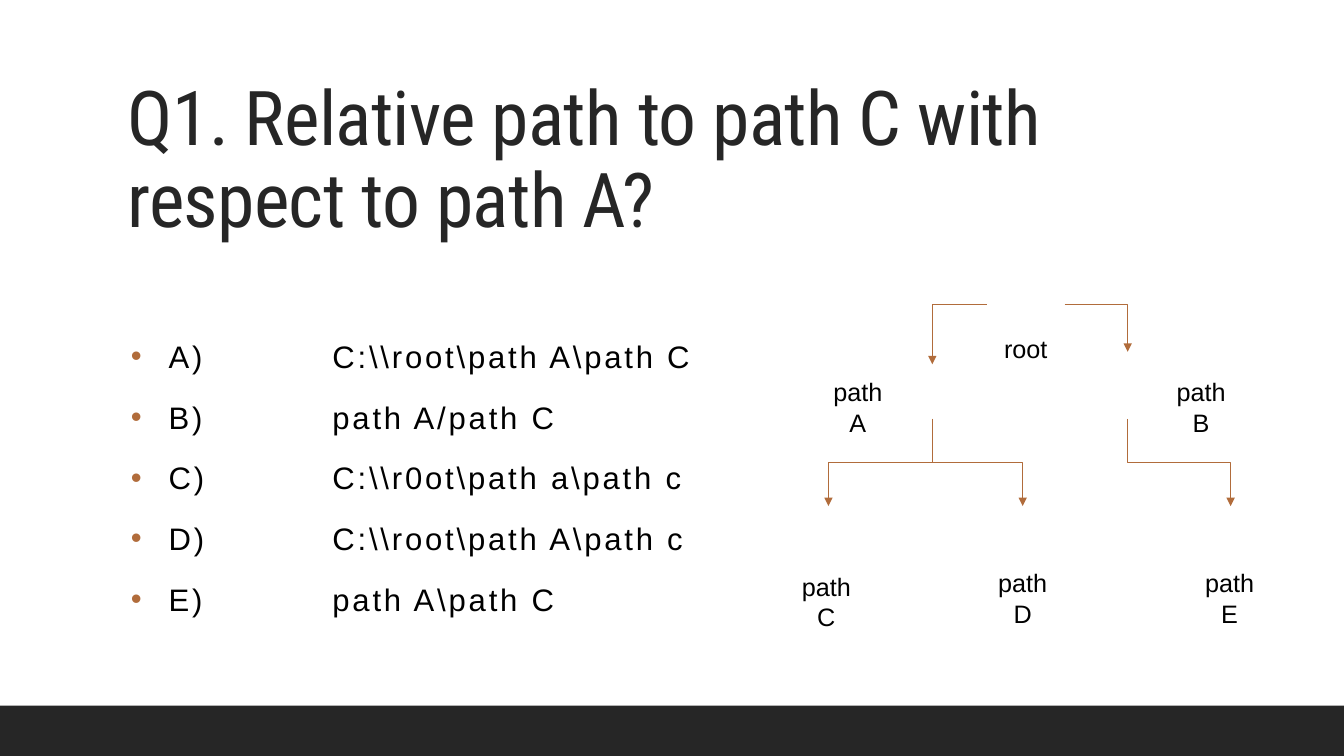
from dataclasses import dataclass

from lxml import etree
from pptx import Presentation
from pptx.dml.color import RGBColor
from pptx.enum.shapes import MSO_CONNECTOR, MSO_SHAPE
from pptx.enum.text import MSO_ANCHOR, MSO_AUTO_SIZE, PP_ALIGN
from pptx.oxml.ns import qn
from pptx.util import Emu, Pt

ELBOW = MSO_CONNECTOR.ELBOW
RECTANGLE = MSO_SHAPE.RECTANGLE
BOTTOM, TOP = MSO_ANCHOR.BOTTOM, MSO_ANCHOR.TOP
NO_FIT = MSO_AUTO_SIZE.NONE
LEFT, CENTER = PP_ALIGN.LEFT, PP_ALIGN.CENTER

EMU_PER_PX = 9525
SLIDE_WIDTH, SLIDE_HEIGHT = 1280, 720
FOOTER_HEIGHT = 48
LABEL_WIDTH, LABEL_HEIGHT = 78, 26
BULLET_INDENT = 36
TAB_STEP = 96

COLORS = {"dark": "262626", "text": "000000", "accent": "B16C3B"}
TITLE_FONT, BODY_FONT = "Roboto Condensed", "Arial"

TITLE = "Q1. Relative path to path C with respect to path A?"


@dataclass(frozen=True)
class Answer:
    letter: str
    location: str


@dataclass(frozen=True)
class Label:
    text: str
    left: int
    top: int


@dataclass(frozen=True)
class Branch:
    start: tuple[int, int]
    end: tuple[int, int]
    from_root: bool = False


ANSWERS = [
    Answer("A)", r"C:\\root\path A\path C"),
    Answer("B)", "path A/path C"),
    Answer("C)", r"C:\\r0ot\path a\path c"),
    Answer("D)", r"C:\\root\path A\path c"),
    Answer("E)", r"path A\path C"),
]

LABELS = [
    Label("root", 938, 313),
    Label("path A", 778, 354),
    Label("path B", 1105, 354),
    Label("path C", 748, 539),
    Label("path D", 935, 536),
    Label("path E", 1132, 536),
]

BRANCHES = [
    Branch((940, 290), (888, 347), from_root=True),
    Branch((1014, 290), (1074, 335), from_root=True),
    Branch((888, 399), (789, 482)),
    Branch((888, 399), (974, 482)),
    Branch((1074, 399), (1172, 482)),
]


def px(value: float) -> Emu:
    return Emu(round(value * EMU_PER_PX))


def color(name: str) -> RGBColor:
    return RGBColor.from_string(COLORS[name])


def place(shape, left: int, top: int, width: int, height: int) -> None:
    shape.left, shape.top = px(left), px(top)
    shape.width, shape.height = px(width), px(height)


def prepare_frame(shape, anchor):
    frame = shape.text_frame
    frame.word_wrap = True
    frame.auto_size = NO_FIT
    frame.vertical_anchor = anchor
    return frame


def add_run(paragraph, text: str, font_name: str, size: float,
            color_name: str, spacing: int = 0) -> None:
    run = paragraph.add_run()
    run.text = text
    run.font.name = font_name
    run.font.size = Pt(size)
    run.font.color.rgb = color(color_name)
    if spacing:
        run._r.get_or_add_rPr().set("spc", str(spacing))


def add_bullet_and_tabs(paragraph) -> None:
    properties = paragraph._p.get_or_add_pPr()
    properties.set("marL", str(px(BULLET_INDENT)))
    properties.set("indent", str(-px(BULLET_INDENT)))
    bullet_color = etree.SubElement(properties, qn("a:buClr"))
    etree.SubElement(bullet_color, qn("a:srgbClr"), val=COLORS["accent"])
    etree.SubElement(properties, qn("a:buFont"), typeface=BODY_FONT)
    etree.SubElement(properties, qn("a:buChar"), char="•")
    tabs = etree.SubElement(properties, qn("a:tabLst"))
    for step in (1, 2):
        etree.SubElement(tabs, qn("a:tab"), pos=str(px(step * TAB_STEP)), algn="l")


def fill_title(shape) -> None:
    place(shape, 112, 63, 1056, 174)
    paragraph = prepare_frame(shape, BOTTOM).paragraphs[0]
    paragraph.alignment = LEFT
    paragraph.line_spacing = 0.9
    add_run(paragraph, TITLE, TITLE_FONT, 54, "dark", -50)


def fill_answers(shape) -> None:
    place(shape, 115, 313, 1056, 295)
    frame = prepare_frame(shape, TOP)
    for index, answer in enumerate(ANSWERS):
        paragraph = frame.add_paragraph() if index else frame.paragraphs[0]
        paragraph.alignment = LEFT
        paragraph.line_spacing = 1.1
        paragraph.space_before = Pt(12 if index else 0)
        paragraph.space_after = Pt(2)
        add_bullet_and_tabs(paragraph)
        add_run(paragraph, f"{answer.letter}\t\t{answer.location}",
                BODY_FONT, 22.2, "text", 200)


def add_footer(slide) -> None:
    footer = slide.shapes.add_shape(
        RECTANGLE, 0, px(SLIDE_HEIGHT - FOOTER_HEIGHT), px(SLIDE_WIDTH), px(FOOTER_HEIGHT))
    footer.shadow.inherit = False
    footer.fill.solid()
    footer.fill.fore_color.rgb = color("dark")
    footer.line.fill.background()


def add_branch(slide, branch: Branch) -> None:
    (x1, y1), (x2, y2) = branch.start, branch.end
    rotation = 0
    if not branch.from_root:
        center_x, center_y = (x1 + x2) / 2, (y1 + y2) / 2
        half_width, half_height = (y2 - y1) / 2, abs(x2 - x1) / 2
        goes_right = x2 > x1
        rotation = 270 if goes_right else 90
        side = 1 if goes_right else -1
        x1, x2 = center_x + side * half_width, center_x - side * half_width
        y1, y2 = center_y - half_height, center_y + half_height
    connector = slide.shapes.add_connector(ELBOW, px(x1), px(y1), px(x2), px(y2))
    connector.line.color.rgb = color("accent")
    connector.line.width = Pt(1)
    properties = connector._element.spPr
    if branch.from_root:
        properties.find(qn("a:prstGeom")).set("prst", "bentConnector2")
    else:
        properties.find(qn("a:xfrm")).set("rot", str(rotation * 60000))
    etree.SubElement(properties.find(qn("a:ln")), qn("a:tailEnd"), type="triangle")
    etree.SubElement(properties, qn("a:effectLst"))


def add_label(slide, label: Label) -> None:
    box = slide.shapes.add_textbox(
        px(label.left), px(label.top), px(LABEL_WIDTH), px(LABEL_HEIGHT))
    paragraph = prepare_frame(box, TOP).paragraphs[0]
    paragraph.alignment = CENTER
    add_run(paragraph, label.text, BODY_FONT, 18, "text")


def main() -> None:
    presentation = Presentation()
    presentation.slide_width = px(SLIDE_WIDTH)
    presentation.slide_height = px(SLIDE_HEIGHT)
    slide = presentation.slides.add_slide(presentation.slide_layouts[1])
    fill_title(slide.shapes.title)
    fill_answers(slide.placeholders[1])
    add_footer(slide)
    for branch in BRANCHES:
        add_branch(slide, branch)
    for label in LABELS:
        add_label(slide, label)
    presentation.save("out.pptx")


if __name__ == "__main__":
    main()
